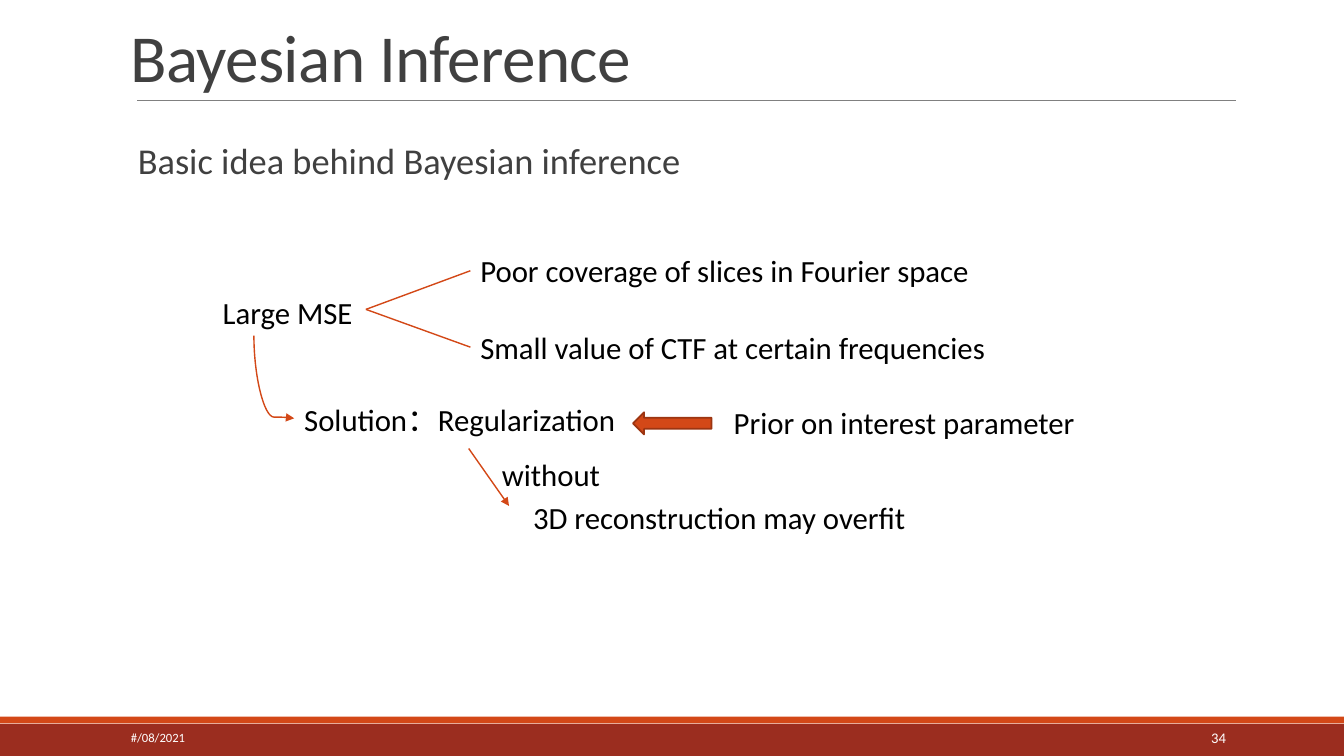
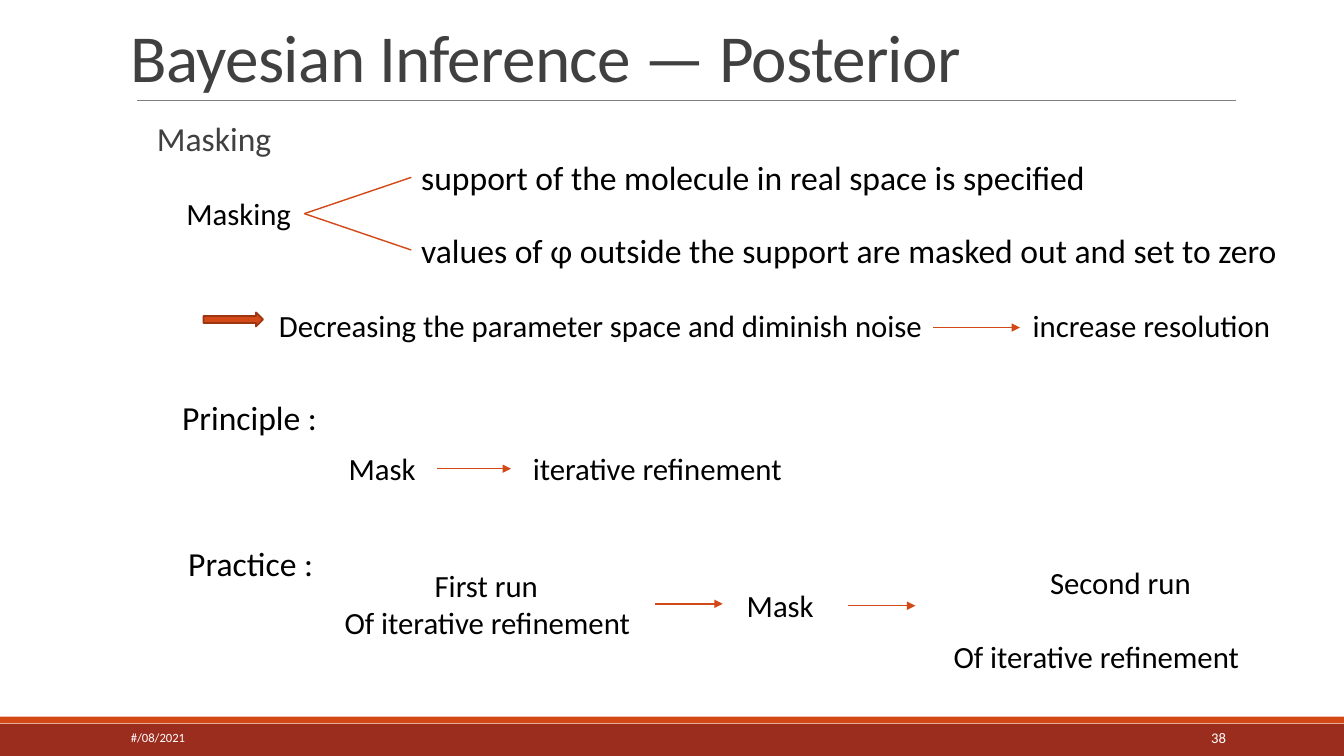
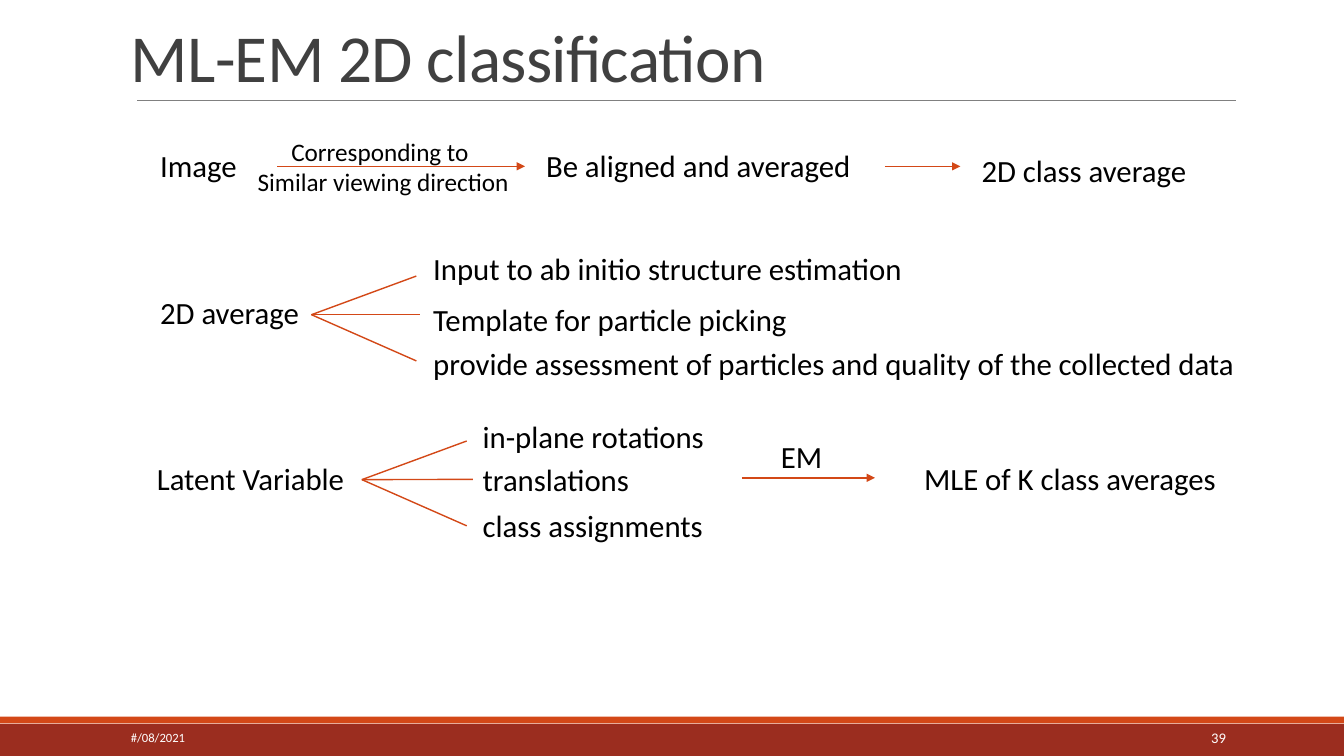
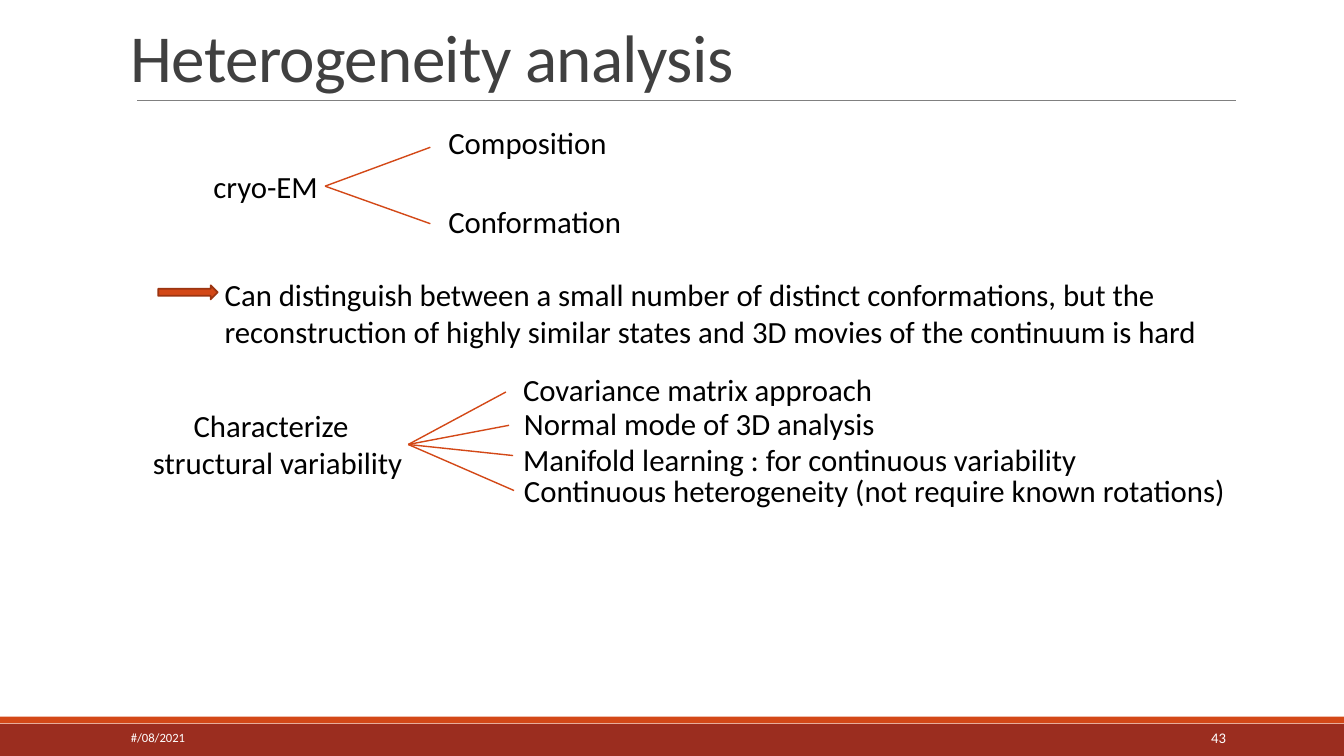
from dataclasses import dataclass

from lxml.etree import SubElement
from pptx import Presentation
from pptx.dml.color import RGBColor
from pptx.enum.shapes import MSO_CONNECTOR as Wire, MSO_SHAPE as Form
from pptx.enum.text import MSO_ANCHOR as Anchor, PP_ALIGN as Align
from pptx.oxml.ns import qn
from pptx.util import Pt

HUES = {
    "ink": "000000",
    "gray": "404040",
    "rule": "808080",
    "white": "FFFFFF",
    "band": "9B2D1F",
    "main": "D34817",
    "edge": "9C3511",
}
FONT = "Calibri"
WIDE, TALL = 960, 540
NEAR = 2


@dataclass
class Label:
    text: str
    left: float
    top: float
    wide: float
    size: float = 22
    hue: str = "ink"
    tall: float = 34
    dents: tuple = ()
    gap: float = 0


@dataclass
class Fan:
    x: float
    y: float
    tips: tuple


@dataclass
class Arrow:
    x: float
    y: float
    end: float
    drop: float = 0


@dataclass
class Block:
    left: float
    top: float
    wide: float = 42.5
    tall: float = 10
    form: Form = Form.RIGHT_ARROW


@dataclass
class Page:
    title: str
    num: str
    labels: tuple
    fans: tuple
    arrows: tuple
    blocks: tuple = ()


def tint(name: str) -> RGBColor:
    return RGBColor.from_string(HUES[name])


def write(slide, item: Label, anchor=Anchor.TOP, align=Align.LEFT):
    box = slide.shapes.add_textbox(Pt(item.left), Pt(item.top), Pt(item.wide), Pt(item.tall))
    frame = box.text_frame
    frame.word_wrap = True
    frame.vertical_anchor = anchor
    frame.text = item.text
    for i, para in enumerate(frame.paragraphs):
        para.alignment = align
        if item.dents:
            para._p.get_or_add_pPr().set("marL", str(Pt(item.dents[i])))
        if i and item.gap:
            para.space_before = Pt(item.gap)
        para.font.name = FONT
        para.font.size = Pt(item.size)
        para.font.color.rgb = tint(item.hue)
    return box


def solid(slide, item: Block, hue: str, edge: str = ""):
    shape = slide.shapes.add_shape(
        item.form, Pt(item.left), Pt(item.top), Pt(item.wide), Pt(item.tall))
    shape.shadow.inherit = False
    shape.fill.solid()
    shape.fill.fore_color.rgb = tint(hue)
    if edge:
        shape.line.color.rgb = tint(edge)
        shape.line.width = Pt(1.25)
    else:
        shape.line.fill.background()


def link(slide, x: float, y: float, to_x: float, to_y: float,
         head: bool = False, hue: str = "main", width: float = 1, kind=Wire.STRAIGHT):
    line = slide.shapes.add_connector(kind, Pt(x), Pt(y), Pt(to_x), Pt(to_y))
    line.line.color.rgb = tint(hue)
    line.line.width = Pt(width)
    props = line._element.spPr
    if head:
        SubElement(props.find(qn("a:ln")), qn("a:tailEnd")).set("type", "triangle")
    SubElement(props, qn("a:effectLst"))
    return line


def bend(slide, x: float, y: float, to_x: float, to_y: float):
    line = link(slide, x, y, to_x, to_y, head=True, kind=Wire.CURVE)
    props = line._element.spPr
    props.find(qn("a:xfrm")).set("rot", str(270 * 60000))
    guide = SubElement(props.find(qn("a:prstGeom")).find(qn("a:avLst")), qn("a:gd"))
    guide.set("name", "adj1")
    guide.set("fmla", "val 98600")


def spread(slide, fan: Fan, boxes: list):
    for x, y in fan.tips:
        line = link(slide, fan.x, fan.y, x, y)
        for box in boxes:
            mid = box.top + box.height / 2
            if abs(box.left - Pt(x)) < Pt(NEAR) and abs(mid - Pt(y)) < Pt(NEAR):
                line.end_connect(box, 1)


def base(slide, title: str, num: str):
    solid(slide, Block(0, 517, WIDE, 23, Form.RECTANGLE), "band")
    solid(slide, Block(0, 511.9, WIDE, 4.9, Form.RECTANGLE), "main")
    link(slide, 97.9, 72, 882.7, 72, hue="rule", width=0.5)
    box = write(slide, Label(title, 86.4, -1.4, 792, 48, "gray", 73.4), Anchor.BOTTOM)
    para = box.text_frame.paragraphs[0]
    para.line_spacing = 0.85
    para.runs[0]._r.get_or_add_rPr().set("spc", "-50")
    write(slide, Label("#/08/2021", 86.4, 517, 194, 9, "white", 20), Anchor.MIDDLE)
    write(slide, Label(num, 779.8, 517, 103, 10.5, "white", 20), Anchor.MIDDLE, Align.RIGHT)


def draw(deck, page: Page):
    slide = deck.slides.add_slide(deck.slide_layouts[6])
    base(slide, page.title, page.num)
    boxes = [write(slide, item) for item in page.labels]
    for fan in page.fans:
        spread(slide, fan, boxes)
    for item in page.arrows:
        link(slide, item.x, item.y, item.end, item.y + item.drop, head=True)
    for item in page.blocks:
        solid(slide, item, "main", "edge")
    return slide


IDEA = Page(
    "Bayesian Inference", "34",
    (
        Label("Basic idea behind Bayesian inference", 91.4, 95, 415, 26, "gray", 39),
        Label("Large MSE", 152, 206, 116),
        Label("Poor coverage of slices in Fourier space", 336, 176.4, 378),
        Label("Small value of CTF at certain frequencies", 336, 231, 378),
        Label("Solution：Regularization", 210.2, 283, 240),
        Label("Prior on interest parameter", 517, 285, 263),
        Label("without", 351.4, 321.8, 90),
        Label("3D reconstruction may overfit", 373.7, 352.8, 299),
    ),
    (Fan(261.4, 221, ((336, 193.4), (336, 248))),),
    (Arrow(334.8, 320.4, 363.6, 41),),
    (Block(452.2, 294.5, 56, 15.8, Form.LEFT_ARROW),),
)

MASK = Page(
    "Bayesian Inference — Posterior", "38",
    (
        Label("Masking", 105, 80.6, 217, 24, "gray", 36),
        Label("Masking", 126, 135.4, 116),
        Label("support of the molecule in real space is specified", 293.8, 108.7, 532, 24, tall=36),
        Label("values of φ outside the support are masked out and set to zero",
              293.8, 160.6, 631, 24, tall=36),
        Label("Decreasing the parameter space and diminish noise", 192.2, 215.3, 480),
        Label("increase resolution", 730.6, 215.3, 200),
        Label("Principle :", 123, 280, 112, 24, tall=36),
        Label("Mask", 242, 317.5, 70),
        Label("iterative refinement", 373.5, 317.5, 220),
        Label("Practice :", 127.4, 384.5, 150, 24, tall=36),
        Label("First run\nOf iterative refinement", 239, 401, 250, tall=60, dents=(64.4, 0)),
        Label("Mask", 526.3, 415.4, 68),
        Label("Second run\nOf iterative refinement", 674, 399, 250,
              tall=87, dents=(69, 0), gap=26.8),
    ),
    (Fan(217.4, 152.6, ((293.8, 126.7), (293.8, 178.6))),),
    (
        Arrow(666.7, 234, 728.6),
        Arrow(312.5, 334.8, 365),
        Arrow(468, 431.3, 516.2),
        Arrow(605.5, 432.7, 653.8),
    ),
    (Block(145.4, 223.2),),
)

SORT = Page(
    "ML-EM 2D classification", "39",
    (
        Label("Image", 107.3, 101.5, 92),
        Label("Corresponding to\nSimilar viewing direction", 177, 93.6, 224, 18,
              tall=51, dents=(24, 0)),
        Label("Be aligned and averaged", 383, 101.5, 250),
        Label("2D class average", 694, 105, 168),
        Label("2D average", 107.3, 206.6, 143),
        Label("Input to ab initio structure estimation", 302.4, 175, 449),
        Label("Template for particle picking", 302.4, 211, 449),
        Label("provide assessment of particles and quality of the collected data",
              302.4, 242.6, 617),
        Label("Latent Variable", 105, 324.7, 177),
        Label("in-plane rotations", 337.7, 294.5, 219),
        Label("translations", 337.7, 325.4, 219),
        Label("class assignments", 337.7, 358.6, 219),
        Label("EM", 550.8, 308.9, 81),
        Label("MLE of K class averages", 653, 324.7, 240),
    ),
    tuple(
        Fan(x, y, ((x + 74.9, y - 27.6), (x + 77.7, y), (x + 74.9, y + 33)))
        for x, y in ((222.5, 224.8), (258.5, 342.6))
    ),
    (
        Arrow(198, 118.8, 375),
        Arrow(632, 118.8, 686),
        Arrow(530, 341.3, 625),
    ),
)

VARY = Page(
    "Heterogeneity analysis", "43",
    (
        Label("cryo-EM", 145.4, 116, 101),
        Label("Composition", 313.2, 85, 144),
        Label("Conformation", 313.2, 141, 144),
        Label("Can distinguish between a small number of distinct conformations, but the "
              "reconstruction of highly similar states and 3D movies of the continuum is hard",
              153.4, 193.7, 739, tall=60),
        Label("Characterize\nstructural variability", 97.2, 287.3, 210, tall=60, dents=(34, 5)),
        Label("Covariance matrix approach", 366.5, 261.4, 300),
        Label("Normal mode of 3D analysis", 367.2, 285.8, 384),
        Label("Manifold learning : for continuous variability", 366.5, 311, 580),
        Label("Continuous heterogeneity (not require known rotations)", 367.2, 333.4, 580),
    ),
    (
        Fan(232.2, 133, ((307.4, 105.2), (307.4, 159.8))),
        Fan(291.6, 317.5, ((361.4, 280), (363.6, 303.8), (366.5, 325.4), (366.5, 350.4))),
    ),
    (),
    (Block(113, 203.8),),
)


def main():
    deck = Presentation()
    deck.slide_width, deck.slide_height = Pt(WIDE), Pt(TALL)
    first = draw(deck, IDEA)
    bend(first, 225.3, 254.9, 166.3, 283.7)
    for page in (MASK, SORT, VARY):
        draw(deck, page)
    deck.save("out.pptx")


if __name__ == "__main__":
    main()
